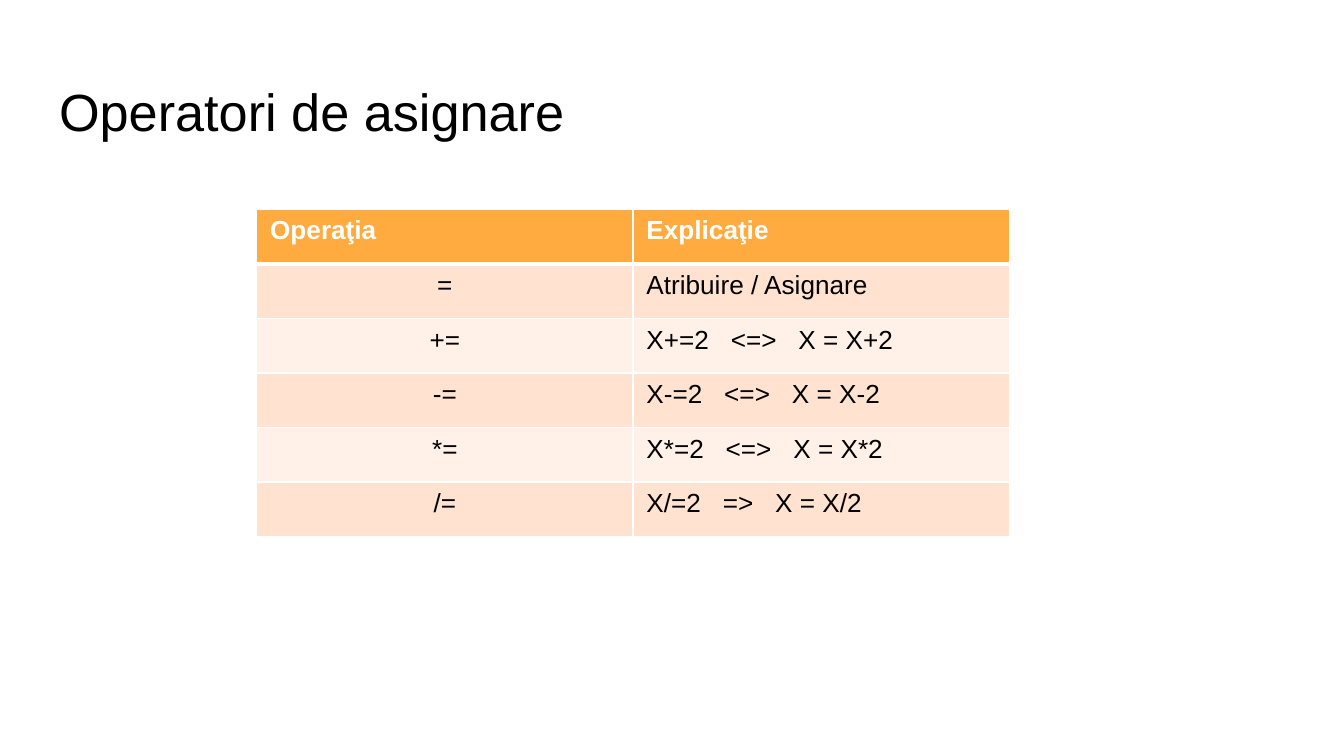
import dataclasses

import lxml.etree
import pptx
import pptx.dml.color
import pptx.enum.text
import pptx.oxml.ns
import pptx.util

Align = pptx.enum.text.PP_ALIGN
Inches = pptx.util.Inches
Pt = pptx.util.Pt
qn = pptx.oxml.ns.qn

WIDE = Inches(10)
HIGH = WIDE * 9 // 16
GAP = "~"  # marks a widened space in a row's text


@dataclasses.dataclass(frozen=True)
class Theme:
    face: str = "Arial"
    ink: str = "000000"
    paper: str = "FFFFFF"
    head: str = "FFAB40"
    bands: tuple[str, str] = ("FFE2CF", "FFF1E8")
    title: float = 28
    text: float = 14
    space: float = 7.7
    thin: float = 1
    thick: float = 3


@dataclasses.dataclass(frozen=True)
class Box:
    """Place and size in percent of the slide."""
    left: float
    top: float
    wide: float
    high: float

    def lengths(self) -> tuple[int, int, int, int]:
        return (int(self.left * WIDE / 100), int(self.top * HIGH / 100),
                int(self.wide * WIDE / 100), int(self.high * HIGH / 100))


@dataclasses.dataclass(frozen=True)
class Row:
    sign: str
    sense: str


THEME = Theme()
TITLE = Box(3.4, 8.65, 93.2, 11.2)
GRID = Box(19.1, 27.7, 56, 43.3)
HEAD = Row("Operaţia", "Explicaţie")
ROWS = [
    Row("=", "Atribuire / Asignare"),
    Row("+=", "X+=2~<=>~X = X+2"),
    Row("-=", "X-=2~<=>~X = X-2"),
    Row("*=", "X*=2~<=>~X = X*2"),
    Row("/=", "X/=2~=>~X = X/2"),
]


def style(para, size: float, ink: str, bold: bool = False) -> None:
    font = para.font
    font.name, font.size, font.bold = THEME.face, Pt(size), bold
    font.color.rgb = pptx.dml.color.RGBColor.from_string(ink)


def write(para, text: str) -> None:
    """Add the text, with one widely spaced blank at each gap mark."""
    for spot, part in enumerate(text.split(GAP)):
        if spot:
            blank = para.add_run()
            blank.text = " "
            blank.font._element.set("spc", str(int(THEME.space * 100)))
        para.add_run().text = part


def edge(cell, side: str, width: float) -> None:
    line = lxml.etree.SubElement(cell._tc.get_or_add_tcPr(), qn(f"a:ln{side}"),
                                 w=str(Pt(width)))
    fill = lxml.etree.SubElement(line, qn("a:solidFill"))
    lxml.etree.SubElement(fill, qn("a:srgbClr"), val=THEME.paper)


def paint(cell, color: str, above: float, below: float) -> None:
    sides = {"L": THEME.thin, "R": THEME.thin, "T": above, "B": below}
    for side, width in sides.items():
        edge(cell, side, width)
    cell.fill.solid()
    cell.fill.fore_color.rgb = pptx.dml.color.RGBColor.from_string(color)


def add_title(slide, text: str) -> None:
    title = slide.shapes.title
    title.left, title.top, title.width, title.height = TITLE.lengths()
    frame = title.text_frame
    frame.margin_left = frame.margin_right = Inches(0.1)
    frame.margin_top = frame.margin_bottom = Inches(0.1)
    frame.vertical_anchor = pptx.enum.text.MSO_ANCHOR.TOP
    frame.auto_size = pptx.enum.text.MSO_AUTO_SIZE.NONE
    para = frame.paragraphs[0]
    para.alignment = Align.LEFT
    write(para, text)
    style(para, THEME.title, THEME.ink)


def add_grid(slide, rows: list[Row]) -> None:
    table = slide.shapes.add_table(len(rows), 2, *GRID.lengths()).table
    table.first_row = table.horz_banding = False
    for down, row in enumerate(rows):
        head = down == 0
        color = THEME.head if head else THEME.bands[(down - 1) % 2]
        above = THEME.thick if down == 1 else THEME.thin
        below = THEME.thick if head else THEME.thin
        for across, text in enumerate((row.sign, row.sense)):
            cell = table.cell(down, across)
            paint(cell, color, above, below)
            para = cell.text_frame.paragraphs[0]
            centred = across == 0 and not head
            para.alignment = Align.CENTER if centred else Align.LEFT
            write(para, text)
            style(para, THEME.text, THEME.paper if head else THEME.ink, head)


def main() -> None:
    deck = pptx.Presentation()
    deck.slide_width, deck.slide_height = WIDE, HIGH
    slide = deck.slides.add_slide(deck.slide_layouts[5])
    add_title(slide, "Operatori de asignare")
    add_grid(slide, [HEAD, *ROWS])
    deck.save("out.pptx")


if __name__ == "__main__":
    main()
